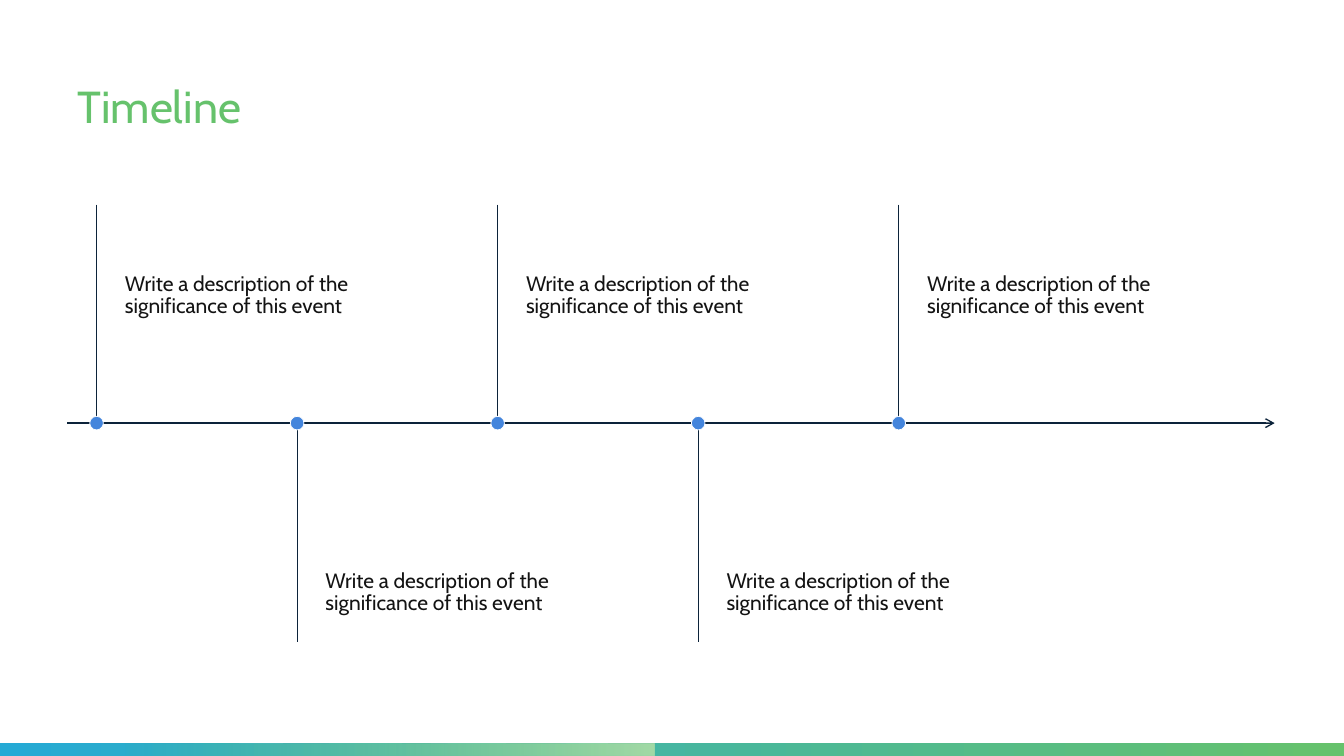
from lxml import etree
from pptx import Presentation
from pptx import util as u
from pptx.dml.color import RGBColor
from pptx.enum import shapes, text
from pptx.oxml.ns import qn

PX = 9525  # EMU per px, 96 px to the inch
WIDTH, HEIGHT = 1280, 720
FONT = "Cabin"
GREEN, BLUE, PALE_GREEN = "66C26C", "25AAD5", "A3DAA7"
NAVY, DOT_BLUE, INK, WHITE = "0C233A", "4485DC", "131313", "FFFFFF"

AXIS_Y, AXIS_LEFT, AXIS_RIGHT = 403, 64, 1214
FIRST_EVENT, EVENT_STEP, STEM, DOT = 92, 191, 208, 13
EVENTS = ["Write a description of the significance of this event"] * 5


def px(*lengths):
    return [u.Emu(round(length * PX)) for length in lengths]


def color(value):
    return RGBColor.from_string(value)


def add_text(slide, words, box, size, ink, insets, anchor=text.MSO_ANCHOR.TOP):
    frame = slide.shapes.add_textbox(*px(*box)).text_frame
    frame.word_wrap = True
    frame.vertical_anchor = anchor
    (frame.margin_left, frame.margin_top,
     frame.margin_right, frame.margin_bottom) = px(*insets)
    paragraph = frame.paragraphs[0]
    paragraph.line_spacing = 0.9
    run = paragraph.add_run()
    run.text = words
    run.font.name = FONT
    run.font.size = u.Pt(size)
    run.font.color.rgb = color(ink)


def add_line(slide, start, end, width, arrow=False):
    line = slide.shapes.add_connector(
        shapes.MSO_CONNECTOR.STRAIGHT, *px(*start, *end))
    line.line.color.rgb = color(NAVY)
    line.line.width = u.Pt(width)
    if arrow:
        outline = line.line._get_or_add_ln()
        etree.SubElement(outline, qn("a:tailEnd"), type="arrow")
    etree.SubElement(line._element.spPr, qn("a:effectLst"))


def add_gradient_bar(slide, box, stops):
    """Each stop is (position, hex colour, opacity), running left to right."""
    bar = slide.shapes.add_shape(shapes.MSO_SHAPE.RECTANGLE, *px(*box))
    bar.shadow.inherit = False
    bar.line.fill.background()
    bar.fill.gradient()
    bar.fill.gradient_angle = 0
    for stop, (position, value, opacity) in zip(bar.fill.gradient_stops, stops):
        stop.position = position
        stop.color.rgb = color(value)
    # Opacity has no public method
    for node, (_, _, opacity) in zip(
            bar._element.spPr.iter(qn("a:srgbClr")), stops):
        if opacity < 1:
            etree.SubElement(node, qn("a:alpha"), val=str(int(opacity * 100000)))


def add_dot(slide, x, y):
    dot = slide.shapes.add_shape(
        shapes.MSO_SHAPE.OVAL, *px(x - DOT / 2, y - DOT / 2, DOT, DOT))
    dot.shadow.inherit = False
    dot.fill.solid()
    dot.fill.fore_color.rgb = color(DOT_BLUE)
    dot.line.color.rgb = color(WHITE)
    dot.line.width = u.Pt(0.5)


def add_event(slide, index, words):
    x = FIRST_EVENT + index * EVENT_STEP
    above = index % 2 == 0
    top, height = (250, 154) if above else (528, 83)
    insets = (0, 10, 10, 15) if above else (0, 15, 15, 10)
    add_text(slide, words, (x + 27, top, 319, height), 15, INK, insets)
    stem_top = AXIS_Y - STEM if above else AXIS_Y
    add_line(slide, (x, stem_top), (x, stem_top + STEM), 0.5)
    add_dot(slide, x, AXIS_Y)


def main():
    presentation = Presentation()
    presentation.slide_width, presentation.slide_height = px(WIDTH, HEIGHT)
    slide = presentation.slides.add_slide(presentation.slide_layouts[6])

    # Footer band
    add_gradient_bar(slide, (0, 708, WIDTH, 12), [(0, BLUE, 1), (1, GREEN, 1)])
    add_gradient_bar(slide, (0, 708, 623, 12),
                     [(0.19, GREEN, 0), (1, PALE_GREEN, 1)])

    # Title
    add_text(slide, "Timeline", (64, 48, 1150, 84), 32, GREEN,
             (10, 5, 10, 5), text.MSO_ANCHOR.BOTTOM)

    # Timeline
    add_line(slide, (AXIS_LEFT, AXIS_Y), (AXIS_RIGHT, AXIS_Y), 0.95, arrow=True)
    for index, words in enumerate(EVENTS):
        add_event(slide, index, words)

    presentation.save("out.pptx")


if __name__ == "__main__":
    main()
